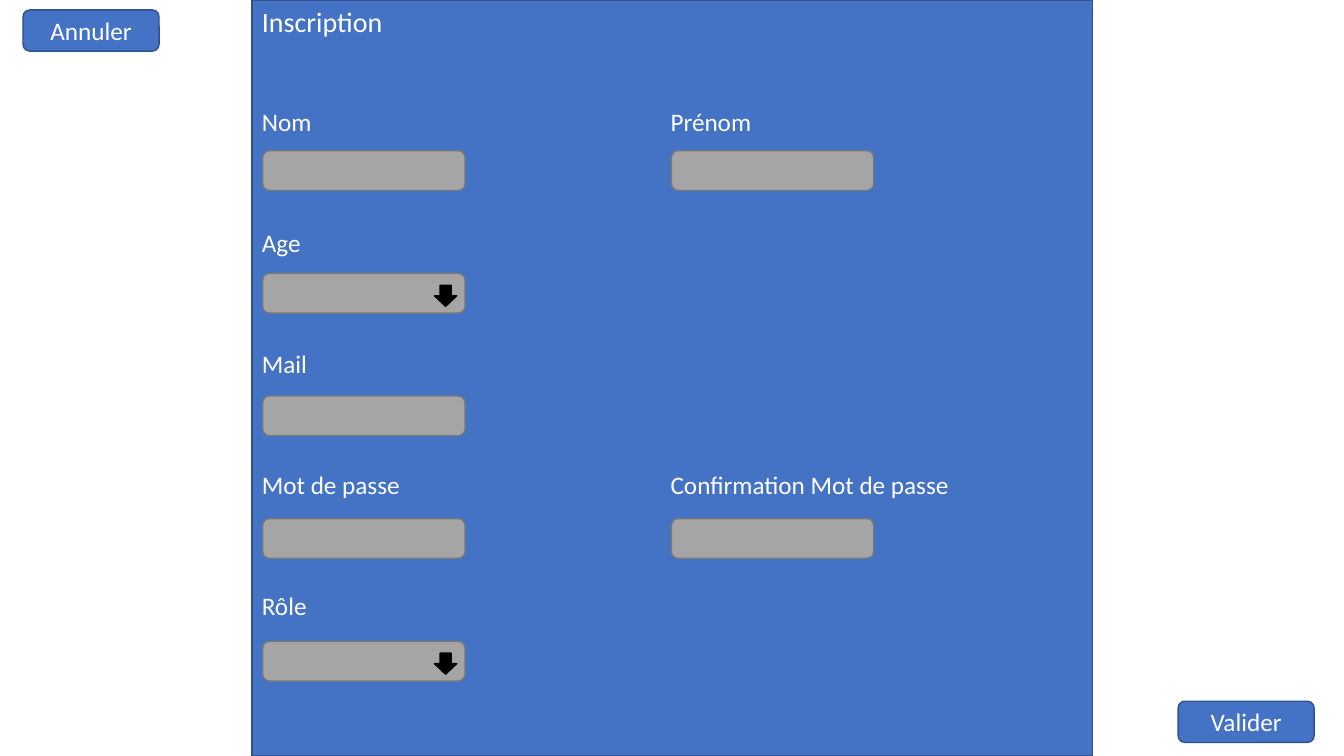
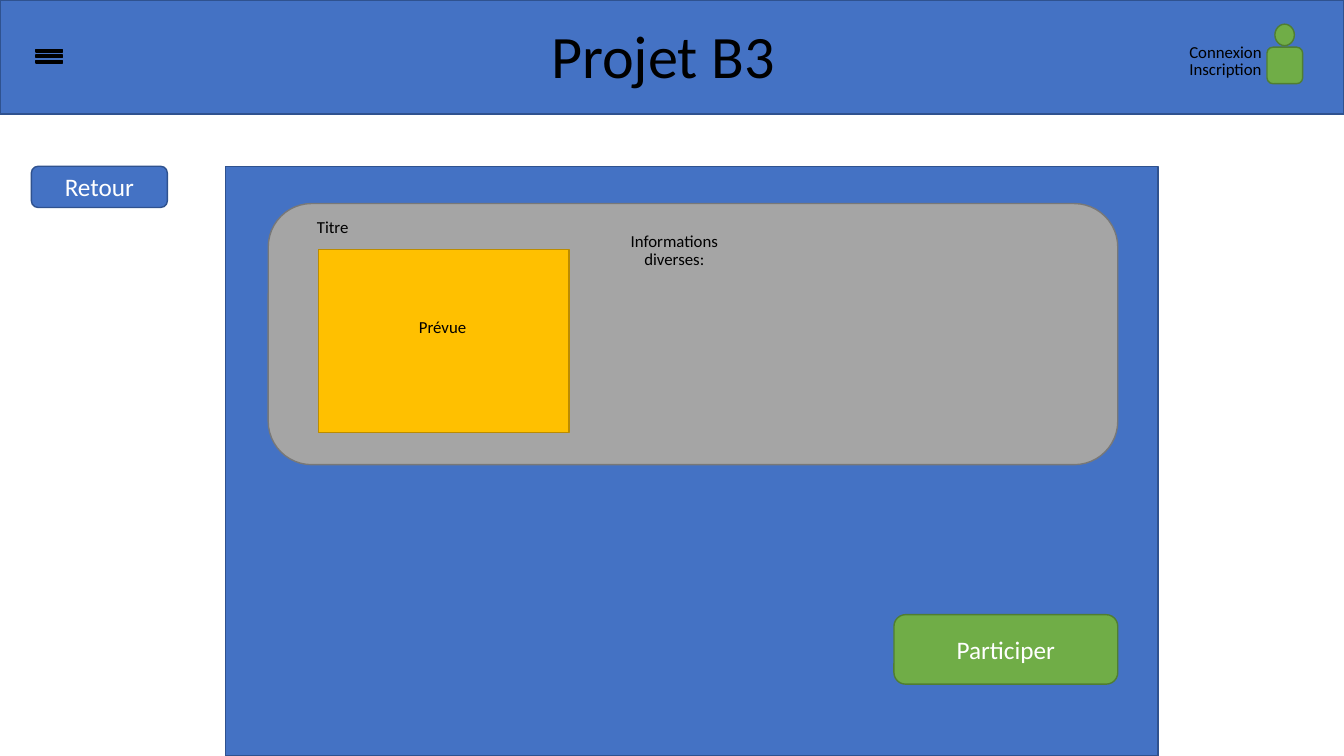
"""Build two wireframe slides: a sign-up form and a project detail page."""
from pptx import Presentation
from pptx.dml.color import RGBColor
from pptx.enum.shapes import MSO_SHAPE as Shape
from pptx.enum.text import MSO_ANCHOR as Anchor, PP_ALIGN as Align
from pptx.util import Cm, Pt

BLUE = ("4472C4", "2F528F")
GREY = ("A5A5A5", "787878")
GREEN = ("70AD47", "507E32")
GOLD = ("FFC000", "BC8C00")
BLACK = ("000000", "000000")
WHITE_TEXT, BLACK_TEXT = "FFFFFF", "000000"
BUTTON_SIZE = (3.43, 1.04)
PANEL_LEFT = 6.35


def draw(slide, kind, box, style):
    shape = slide.shapes.add_shape(kind, *map(Cm, box))
    shape.shadow.inherit = False
    fill, line = style
    shape.fill.solid()
    shape.fill.fore_color.rgb = RGBColor.from_string(fill)
    shape.line.color.rgb = RGBColor.from_string(line)
    shape.line.width = Pt(1)
    return shape


def write(shape, text, size=18, color=WHITE_TEXT, align=Align.CENTER,
          anchor=Anchor.MIDDLE, spacing=1.0):
    frame = shape.text_frame
    frame.word_wrap = True
    frame.vertical_anchor = anchor
    paragraph = frame.paragraphs[0]
    paragraph.alignment = align
    paragraph.line_spacing = spacing
    run = paragraph.add_run()
    run.text = text
    run.font.name = "Calibri"
    run.font.size = Pt(size)
    run.font.color.rgb = RGBColor.from_string(color)


prs = Presentation()
prs.slide_width, prs.slide_height = Cm(33.87), Cm(19.05)
blank = prs.slide_layouts[6]

signup = prs.slides.add_slide(blank)
form = draw(signup, Shape.RECTANGLE, (PANEL_LEFT, 0, 21.18, 19.05), BLUE)
write(form, "Inscription", size=20, align=Align.LEFT, anchor=Anchor.TOP)

for label, left, top in [("Annuler", 0.58, 0.25), ("Valider", 29.69, 17.67)]:
    button = draw(signup, Shape.ROUNDED_RECTANGLE, (left, top, *BUTTON_SIZE), BLUE)
    write(button, label)

fields = [
    ("Nom", 0, 0, False),
    ("Prénom", 0, 1, False),
    ("Age", 1, 0, True),
    ("Mail", 2, 0, False),
    ("Mot de passe", 3, 0, False),
    ("Confirmation Mot de passe", 3, 1, False),
    ("Rôle", 4, 0, True),
]
for label, row, column, is_dropdown in fields:
    left = PANEL_LEFT + column * 10.3
    caption = signup.shapes.add_textbox(
        Cm(left), Cm(2.55 + row * 3.05), Cm(9), Cm(1))
    write(caption, label, align=Align.LEFT)
    field_top = 3.8 + row * 3.09
    draw(signup, Shape.ROUNDED_RECTANGLE, (left + 0.27, field_top, 5.1, 1), GREY)
    if is_dropdown:
        draw(signup, Shape.DOWN_ARROW, (left + 4.6, field_top + 0.3, 0.56, 0.53), BLACK)

detail = prs.slides.add_slide(blank)
draw(detail, Shape.RECTANGLE, (5.69, 4.2, 23.49, 14.85), BLUE)
draw(detail, Shape.RECTANGLE, (0, 0, 33.87, 2.87), BLUE)
title = detail.shapes.add_textbox(Cm(-0.23), Cm(0.36), Cm(33.87), Cm(2.24))
write(title, "Projet B3", size=43, color=BLACK_TEXT, spacing=0.9)

for bar in range(3):
    draw(detail, Shape.RECTANGLE, (0.91, 1.25 + bar * 0.14, 0.66, 0.06), BLACK)

draw(detail, Shape.ROUNDED_RECTANGLE, (31.93, 1.19, 0.9, 0.92), GREEN)
draw(detail, Shape.OVAL, (32.13, 0.61, 0.49, 0.54), GREEN)
draw(detail, Shape.ROUNDED_RECTANGLE, (6.76, 5.13, 21.41, 6.58), GREY)
draw(detail, Shape.RECTANGLE, (8.02, 6.29, 6.32, 4.61), GOLD)

captions = [
    ("Connexion", 29.41, 1.17),
    ("Inscription", 29.41, 1.6),
    ("Titre", 6.91, 5.56),
    ("Prévue", 9.68, 8.1),
    ("Informations diverses:", 15.52, 6.38),
]
for label, left, top in captions:
    caption = detail.shapes.add_textbox(Cm(left), Cm(top), Cm(2.95), Cm(0.53))
    write(caption, label, size=12, color=BLACK_TEXT, anchor=Anchor.BOTTOM, spacing=0.9)

buttons = [
    ("Participer", (22.53, 15.49, 5.64, 1.75), GREEN),
    ("Retour", (0.79, 4.19, *BUTTON_SIZE), BLUE),
]
for label, box, style in buttons:
    write(draw(detail, Shape.ROUNDED_RECTANGLE, box, style), label)

prs.save("out.pptx")
